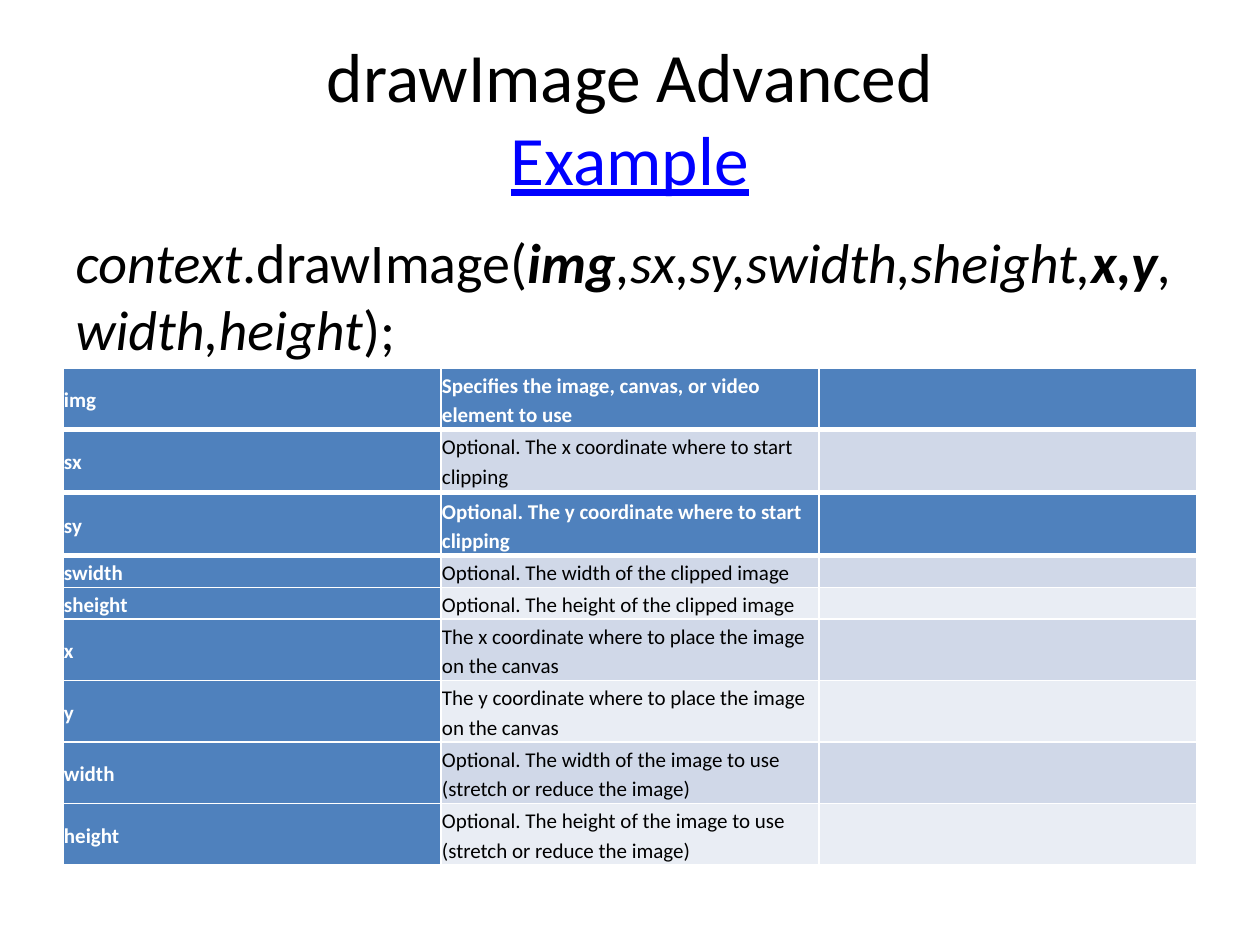
from lxml import etree
from pptx import Presentation
from pptx import util as u
from pptx.dml.color import RGBColor
from pptx.enum import text
from pptx.oxml import ns

HUES = {"ink": "000000", "link": "0000FF", "head": "4F81BD",
        "dark": "D0D8E8", "pale": "E9EDF4", "white": "FFFFFF"}
LEFT, WIDE = u.Cm(1.27), u.Cm(22.86)
ONE, TWO = 0.64, 1.24

CLIP = [
    ("img", "Specifies the image, canvas, or video element to use", TWO),
    ("sx", "Optional. The x coordinate where to start clipping", TWO),
]
PLACE = [
    ("sy", "Optional. The y coordinate where to start clipping", TWO),
    ("swidth", "Optional. The width of the clipped image", ONE),
    ("sheight", "Optional. The height of the clipped image", ONE),
    ("x", "The x coordinate where to place the image on the canvas", TWO),
    ("y", "The y coordinate where to place the image on the canvas", TWO),
    ("width", "Optional. The width of the image to use (stretch or reduce the image)", TWO),
    ("height", "Optional. The height of the image to use (stretch or reduce the image)", TWO),
]
CALL = [("context", "i"), (".drawImage(", ""), ("img", "bi"),
        (",sx,sy,swidth,sheight,", "i"), ("x,y", "bi"),
        (",width,height", "i"), (");", "")]


class Deck:
    def __init__(self, font):
        self.font = font
        self.prs = Presentation()
        self.prs.slide_width, self.prs.slide_height = u.Cm(25.4), u.Cm(19.05)
        self.slide = self.prs.slides.add_slide(self.prs.slide_layouts[1])

    def hue(self, name):
        return RGBColor.from_string(HUES[name])

    def run(self, para, words, size, hue="ink", style=""):
        run = para.add_run()
        run.text = words
        font = run.font
        font.name, font.size = self.font, u.Pt(size)
        font.color.rgb = self.hue(hue)
        font.bold, font.italic = "b" in style, "i" in style
        font.underline = "u" in style

    def holder(self, index, top, high, anchor):
        box = self.slide.placeholders[index]
        box.left, box.top = LEFT, u.Cm(top)
        box.width, box.height = WIDE, u.Cm(high)
        frame = box.text_frame
        frame.word_wrap = True
        frame.auto_size = text.MSO_AUTO_SIZE.NONE
        frame.vertical_anchor = anchor
        return frame.paragraphs[0]

    def title(self, words, link):
        para = self.holder(0, 0.76, 3.18, text.MSO_ANCHOR.MIDDLE)
        para.alignment = text.PP_ALIGN.CENTER
        self.run(para, words, 39.6)
        para.add_line_break()
        self.run(para, link, 39.6, "link", "u")

    def body(self, runs):
        para = self.holder(1, 4.45, 12.57, text.MSO_ANCHOR.TOP)
        props = para._p.get_or_add_pPr()
        props.set("marL", "0")
        props.set("indent", "0")
        etree.SubElement(props, ns.qn("a:buNone"))
        para.space_before = u.Pt(0)
        for words, style in runs:
            self.run(para, words, 32, style=style)

    def border(self, cell, row):
        props = cell._tc.get_or_add_tcPr()
        thick = {"T": 3 if row == 1 else 1, "B": 3 if row == 0 else 1}
        for side in "LRTB":
            line = etree.SubElement(props, ns.qn("a:ln" + side),
                                    w=str(u.Pt(thick.get(side, 1))))
            fill = etree.SubElement(line, ns.qn("a:solidFill"))
            etree.SubElement(fill, ns.qn("a:srgbClr"), val=HUES["white"])

    def cell(self, cell, words, row, col):
        self.border(cell, row)
        head = row == 0 or col == 0
        cell.fill.solid()
        cell.fill.fore_color.rgb = self.hue("head" if head else "dark" if row % 2 else "pale")
        cell.margin_left = cell.margin_right = u.Cm(0.02)
        cell.margin_top = cell.margin_bottom = u.Cm(0.02)
        cell.vertical_anchor = text.MSO_ANCHOR.MIDDLE
        para = cell.text_frame.paragraphs[0]
        para.line_spacing = 1.15
        if words:
            self.run(para, words, 12, "white" if head else "ink", "b" if head else "")
        else:
            etree.SubElement(para._p, ns.qn("a:endParaRPr"), sz="1200")

    def table(self, top, rows):
        high = u.Cm(sum(row[2] for row in rows))
        grid = self.slide.shapes.add_table(len(rows), 3, LEFT, u.Cm(top), WIDE, high).table
        for r, (name, note, tall) in enumerate(rows):
            grid.rows[r].height = u.Cm(tall)
            for c, words in enumerate((name, note, "")):
                self.cell(grid.cell(r, c), words, r, c)


def main():
    deck = Deck("Calibri")
    deck.title("drawImage Advanced", "Example")
    deck.body(CALL)
    deck.table(7.42, CLIP)
    deck.table(9.96, PLACE)
    deck.prs.save("out.pptx")


if __name__ == "__main__":
    main()
